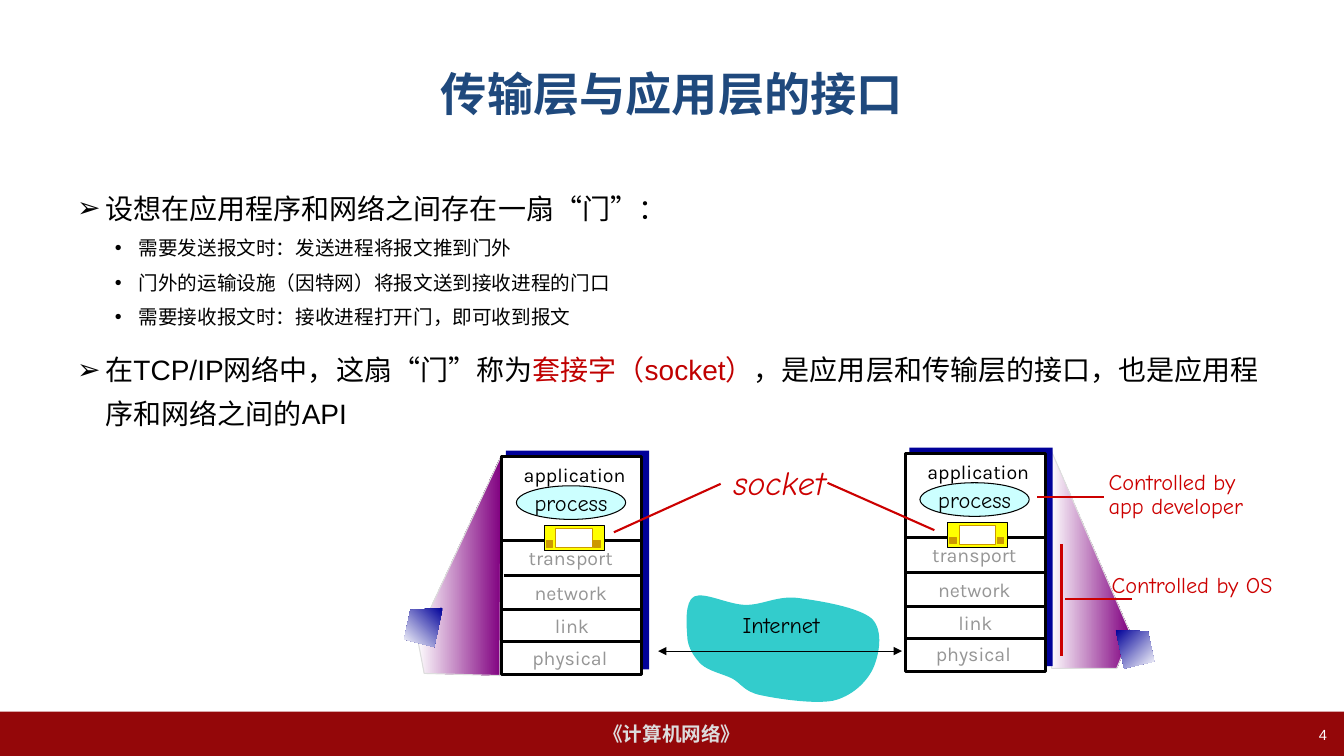
from pptx import Presentation
from pptx.dml.color import RGBColor
from pptx.enum.shapes import MSO_CONNECTOR, MSO_SHAPE
from pptx.enum.text import MSO_ANCHOR, PP_ALIGN
from pptx.oxml.ns import qn
from pptx.util import Pt
from lxml import etree

RECT, ELLIPSE = MSO_SHAPE.RECTANGLE, MSO_SHAPE.OVAL
STRAIGHT = MSO_CONNECTOR.STRAIGHT
MIDDLE = MSO_ANCHOR.MIDDLE
LEFT, CENTER, RIGHT = PP_ALIGN.LEFT, PP_ALIGN.CENTER, PP_ALIGN.RIGHT
SANS, HAND, LABEL = "Arial", "Comic Neue", "Karla"
BLACK, WHITE, GREY, RED = "000000", "FFFFFF", "969696", "CC0000"
NAVY, PURPLE, GOLD = "000099", "800080", "CC9900"


def color(value):
    return RGBColor.from_string(value)


def style_font(font, size, name, value, bold=False, italic=False):
    font.size, font.name = Pt(size), name
    font.bold, font.italic = bold, italic
    font.color.rgb = color(value)


def write(frame, text, size, name, value, align=LEFT, spacing=None,
          wrap=True, bold=False, italic=False):
    frame.word_wrap = wrap
    frame.text = text
    for para in frame.paragraphs:
        para.alignment = align
        if spacing:
            para.line_spacing = spacing
        for span in para.runs:
            style_font(span.font, size, name, value, bold, italic)


def add_text(page, box, text, size, name, value, **options):
    shape = page.shapes.add_textbox(*map(Pt, box))
    write(shape.text_frame, text, size, name, value, **options)


def outline(shape, line, width):
    shape.shadow.inherit = False
    if line:
        shape.line.color.rgb = color(line)
        shape.line.width = Pt(width)
    else:
        shape.line.fill.background()


def add_box(shapes, kind, box, fill, line=None, width=0.75):
    shape = shapes.add_shape(kind, *map(Pt, box))
    shape.fill.solid()
    shape.fill.fore_color.rgb = color(fill)
    outline(shape, line, width)
    return shape


def add_line(page, start, end, value, width, arrows=False):
    line = page.shapes.add_connector(STRAIGHT, *map(Pt, start + end))
    line.line.color.rgb = color(value)
    line.line.width = Pt(width)
    if arrows:
        for tag in ("a:headEnd", "a:tailEnd"):
            etree.SubElement(line.line._get_or_add_ln(), qn(tag), type="triangle")
    etree.SubElement(line._element.spPr, qn("a:effectLst"))


def add_outline(page, left, top, points, line=None):
    corners = [(Pt(left + x), Pt(top + y)) for x, y in points]
    builder = page.shapes.build_freeform(*corners[0], scale=1.0)
    builder.add_line_segments(corners[1:], close=True)
    shape = builder.convert_to_shape()
    outline(shape, line, 0.75)
    return shape


def bend(shape):
    """Turn each three straight segments into one cubic curve."""
    segments = list(shape._element.iter(qn("a:lnTo")))
    for index in range(0, len(segments) - 2, 3):
        cubic = etree.Element(qn("a:cubicBezTo"))
        segments[index].addprevious(cubic)
        for segment in segments[index:index + 3]:
            cubic.append(segment[0])
            segment.getparent().remove(segment)


def shade(shape, first, last, angle):
    shape.fill.gradient()
    shape.fill.gradient_angle = (360 - angle) % 360
    for stop, value, position in zip(shape.fill.gradient_stops, (first, last), (0, 1)):
        stop.color.rgb = color(value)
        stop.position = position


def add_title(page, box, text):
    title = page.shapes.title
    title.left, title.top, title.width, title.height = map(Pt, box)
    title.text_frame.vertical_anchor = MIDDLE
    write(title.text_frame, text, 33, SANS, "1F497D", align=CENTER, bold=True)


def add_footer(page, box, course, number):
    left, top, width, height = box
    bar = add_box(page.shapes, RECT, box, "940709")
    bar.text_frame.vertical_anchor = MIDDLE
    write(bar.text_frame, course, 14, SANS, "DDDDDD", align=CENTER, wrap=False, bold=True)
    add_text(page, (left + width - 229, top + 6.5, 224, 25), number, 10.5, SANS, WHITE, align=RIGHT)


def add_bullets(page, box, items):
    frame = page.shapes.add_textbox(*map(Pt, box)).text_frame
    frame.word_wrap = True
    for index, (level, spans) in enumerate(items):
        para = frame.add_paragraph() if index else frame.paragraphs[0]
        mark, margin, hanging, size, before = (("➢", 20.25, 20.25, 20, 10),
                                               ("•", 43.9, 16.9, 14, 2.8))[level]
        para.level = level
        props = para._p.get_or_add_pPr()
        props.set("marL", str(Pt(margin)))
        props.set("indent", str(-Pt(hanging)))
        etree.SubElement(props, qn("a:buFont"), typeface=SANS)
        etree.SubElement(props, qn("a:buChar"), char=mark)
        para.line_spacing = 1.3
        if index:
            para.space_before = Pt(before)
        for text, value in spans:
            span = para.add_run()
            span.text = text
            style_font(span.font, size, SANS, value)


def add_socket(page, left, top):
    group = page.shapes.add_group_shape().shapes
    add_box(group, RECT, (left, top, 43, 18), "FFFF00", BLACK)
    add_box(group, RECT, (left + 8.25, top + 2.2, 26, 13.5), WHITE, GOLD)
    for offset in (35.5, 1.5):
        add_box(group, RECT, (left + offset, top + 10.4, 4.5, 5), GOLD, GOLD)


def add_host(page, left, top):
    add_box(page.shapes, RECT, (left + 2.9, top - 4.3, 102.25, 156.25), NAVY)
    add_box(page.shapes, RECT, (left, top, 100, 155.5), WHITE, BLACK, 2.25)
    for x, y in ((0.7, 59.8), (1.4, 85), (0, 109.4), (0, 131.8)):
        add_line(page, (left + x, top + y), (left + x + 99.5, top + y), BLACK, 2.25)
    layers = (("application", 0, -0.7, BLACK), ("transport", -2.8, 58.3, GREY),
              ("network", -2.8, 83.5, GREY), ("link", -2, 107.3, GREY), ("physical", -3.5, 129.6, GREY))
    for name, x, y, value in layers:
        add_text(page, (left + x, top + y, 104, 26), name, 14, LABEL, value, align=CENTER, spacing=1.1)
    process = add_box(page.shapes, ELLIPSE, (left + 10.4, top + 20.8, 78, 24), "CCFFFF", BLACK)
    process.text_frame.vertical_anchor = MIDDLE
    write(process.text_frame, "process", 16, HAND, BLACK, align=CENTER, wrap=False)
    add_socket(page, left + 30.25, top + 49.2)


def add_internet(page, left, top):
    # First point, then two handles and an end for each curve
    cloud = add_outline(page, left, top, (
        (2, 31.5), (1.5, 24), (0, 7), (7, 3.5), (14.5, 0), (31.5, 9.5), (44, 9.5),
        (56, 9.5), (66, 3), (80.5, 4.5), (96, 6.5), (124.5, 11), (134, 19.5),
        (142.5, 28), (139, 46), (134.5, 55.5), (129.5, 65.5), (119, 75), (106, 78),
        (92, 80.5), (66, 76.5), (54.5, 74), (42.5, 71.5), (40.5, 65.5), (34, 62),
        (26.5, 58.5), (18, 57), (12, 52), (7, 47), (2, 39.5), (2, 31.5)))
    bend(cloud)
    cloud.fill.solid()
    cloud.fill.fore_color.rgb = color("33CCCC")
    add_text(page, (left + 28.7, top + 10.2, 80.6, 26.6), "Internet", 16, HAND, BLACK,
             align=CENTER, wrap=False)
    add_line(page, (left - 18.8, top + 42.5), (left + 155.4, top + 42.5), BLACK, 0.75, arrows=True)


def add_diagram(page, left, top):
    # Light cones, cloud and hosts
    cones = ((10, 5.5, ((0, 129.5), (60, 0), (59, 157), (5, 155.5))),
             (462.25, 0.4, ((57.5, 132.5), (0, 0), (1, 157), (47.5, 157))))
    for x, y, points in cones:
        shade(add_outline(page, left + x, top + y, points, "DDDDDD"), WHITE, PURPLE, 0)
    add_internet(page, left + 200.9, top + 102.6)
    for x, y in ((70.5, 6.2), (358.75, 4)):
        add_host(page, left + x, top + y)
    # Red callouts
    add_text(page, (left + 499, top + 84.2, 148, 46), "Controlled by OS", 16, HAND, RED)
    add_text(page, (left + 496.8, top + 13, 118, 42.5), "Controlled by\napp developer", 16, HAND, RED,
             spacing=0.9, wrap=False)
    add_text(page, (left + 229, top + 9.8, 89.3, 33), "socket", 24, HAND, RED,
             spacing=0.9, wrap=False, italic=True)
    callouts = (((500.4, 35), (452.9, 35)), ((470.25, 68.8), (470.25, 148.7)),
                ((520.5, 107.7), (472.4, 107.7)),
                ((150.5, 60.2), (226.8, 25.6)), ((379.4, 58.7), (303.1, 24.9)))
    for (x1, y1), (x2, y2) in callouts:
        add_line(page, (left + x1, top + y1), (left + x2, top + y2), RED, 1.5)
    # End devices
    devices = ((0.7, 114.2, 135, ((27.5, 0), (4.5, 1.5), (0, 22.5), (21.5, 28))),
               (509, 130, 45, ((0, 0), (23, 1), (27.5, 22.5), (6, 27.5))))
    for x, y, angle, points in devices:
        shade(add_outline(page, left + x, top + y, points), NAVY, WHITE, angle)


def main():
    deck = Presentation()
    deck.slide_width, deck.slide_height = Pt(960), Pt(540)
    page = deck.slides.add_slide(deck.slide_layouts[5])
    add_footer(page, (0, 508.3, 960, 31.7), "《计算机网络》", "4")
    add_title(page, (48, 21.6, 864, 90), "传输层与应用层的接口")
    add_bullets(page, (48, 126, 864, 356.5), (
        (0, [("设想在应用程序和网络之间存在一扇“门”：", BLACK)]),
        (1, [("需要发送报文时：发送进程将报文推到门外", BLACK)]),
        (1, [("门外的运输设施（因特网）将报文送到接收进程的门口", BLACK)]),
        (1, [("需要接收报文时：接收进程打开门，即可收到报文", BLACK)]),
        (0, [("在TCP/IP网络中，这扇“门”称为", BLACK), ("套接字（socket）", "C00000"),
             ("，是应用层和传输层的接口，也是应用程序和网络之间的API", BLACK)])))
    add_diagram(page, 288, 320)
    deck.save("out.pptx")


if __name__ == "__main__":
    main()
